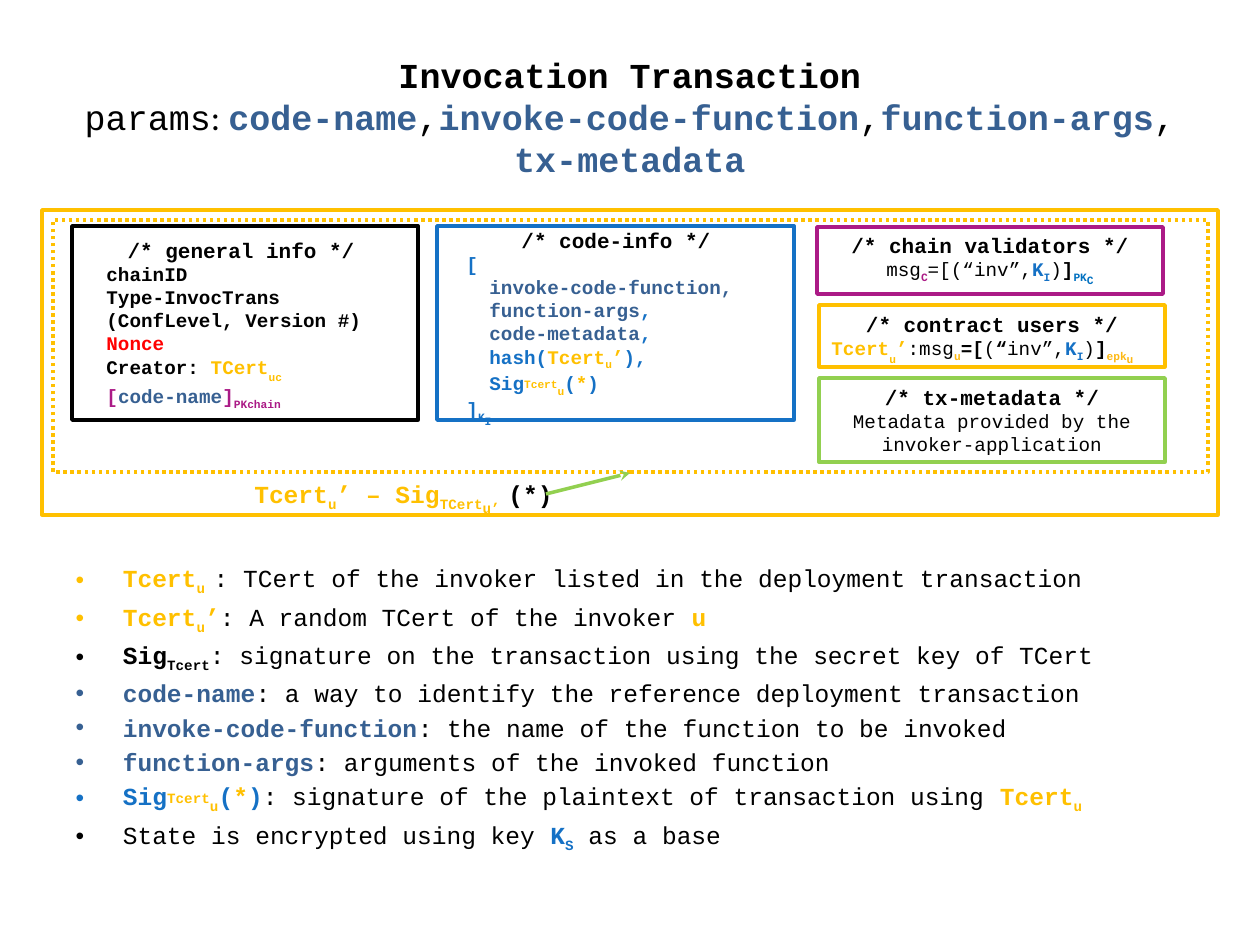
import dataclasses
import pptx
import pptx.dml.color
import pptx.enum.dml
import pptx.enum.shapes
import pptx.enum.text
import pptx.oxml.ns
import pptx.util
import lxml.etree

SCALE = 914400 / 126
MID = pptx.enum.text.PP_ALIGN.CENTER
LEFT = pptx.enum.text.PP_ALIGN.LEFT
GROW = pptx.enum.text.MSO_AUTO_SIZE.SHAPE_TO_FIT_TEXT
FIXED = pptx.enum.text.MSO_AUTO_SIZE.NONE
TOP = pptx.enum.text.MSO_ANCHOR.TOP
CENTRE = pptx.enum.text.MSO_ANCHOR.MIDDLE


@dataclasses.dataclass(frozen=True)
class Theme:
    ink: str = "000000"
    plain: str = "000000"
    gold: str = "FFC000"
    amber: str = "FDB813"
    navy: str = "376092"
    blue: str = "1571C5"
    sky: str = "0070C0"
    plum: str = "AB1A86"
    green: str = "92D050"
    red: str = "FF0000"
    title: int = 20
    body: int = 14
    head: int = 12
    code: int = 11
    font: str = "Courier New"
    soft: str = "Calibri"
    line: int = 2


THEME = Theme()


def px(num):
    return round(num * SCALE)


def tone(name):
    return pptx.dml.color.RGBColor.from_string(getattr(THEME, name))


def put(item, vals):
    for key, val in vals.items():
        setattr(item, key, val)


def place(shape, rect):
    put(shape, dict(zip(("left", "top", "width", "height"), map(px, rect))))


def add_run(para, size, text, hue, base=0, font=THEME.font):
    run = para.add_run()
    run.text = text
    put(run.font, {"name": font, "size": pptx.util.Pt(size), "bold": hue != "plain"})
    run.font.color.rgb = tone(hue)
    if base:
        run._r.get_or_add_rPr().set("baseline", str(base * 1000))


def row(*runs, size=THEME.code, align=LEFT, inset=0):
    return {"runs": runs, "size": size, "align": align, "inset": inset}


def head(text):
    return row((text, "ink"), size=THEME.head, align=MID)


def write(shape, rows, fit=GROW, anchor=TOP):
    frame = shape.text_frame
    put(frame, {"word_wrap": True, "auto_size": fit, "vertical_anchor": anchor})
    for num, item in enumerate(rows):
        para = frame.add_paragraph() if num else frame.paragraphs[0]
        para.alignment = item["align"]
        if item["inset"]:
            para._p.get_or_add_pPr().set("marL", str(px(item["inset"])))
        for run in item["runs"]:
            if run == "break":
                para.add_line_break()
            else:
                add_run(para, item["size"], *run)


def add_box(slide, rect, hue, rows=(), dash=None):
    box = slide.shapes.add_shape(
        pptx.enum.shapes.MSO_SHAPE.RECTANGLE, *map(px, rect))
    box.shadow.inherit = False
    box.fill.background()
    box.line.color.rgb = tone(hue)
    put(box.line, {"width": pptx.util.Pt(THEME.line), "dash_style": dash})
    if rows:
        write(box, rows)


def add_text(slide, rect, rows):
    write(slide.shapes.add_textbox(*map(px, rect)), rows)


def add_arrow(slide, ends, hue):
    arrow = slide.shapes.add_connector(
        pptx.enum.shapes.MSO_CONNECTOR.STRAIGHT, *map(px, ends))
    arrow.line.color.rgb = tone(hue)
    arrow.line.width = pptx.util.Pt(THEME.line)
    mark = pptx.oxml.ns.qn
    tip = lxml.etree.SubElement(arrow.line._get_or_add_ln(), mark("a:tailEnd"))
    tip.set("type", "stealth")
    lxml.etree.SubElement(arrow._element.spPr, mark("a:effectLst"))


def add_title(slide):
    title = slide.shapes.title
    place(title, (63, 38, 1134, 157))
    write(title, [row(
        ("Invocation Transaction", "ink"), "break",
        ("params", "plain"), (": ", "plain", 0, THEME.soft),
        ("code-name", "navy"), (",", "plain"),
        ("invoke-code-function", "navy"), (",", "plain"),
        ("function-args", "navy"), (", ", "plain"), ("tx-metadata", "navy"),
        size=THEME.title, align=MID)], FIXED, CENTRE)


def add_list(slide):
    body = slide.placeholders[1]
    place(body, (63, 557, 1144, 336))
    lines = [
        [("Tcert", "gold"), ("u ", "gold", -25),
         (": TCert of the invoker listed in the deployment transaction", "plain")],
        [("Tcert", "gold"), ("u", "gold", -25), ("’", "gold"),
         (": A random TCert of the invoker ", "plain"), ("u", "gold")],
        [("Sig", "ink"), ("Tcert", "ink", -25),
         (": signature on the transaction using the secret key of TCert", "plain")],
        [("code-name", "navy"),
         (": a way to identify the reference deployment transaction", "plain")],
        [("invoke-code-function", "navy"),
         (": the name of the function to be invoked", "plain")],
        [("function-args", "navy"),
         (": arguments of the invoked function", "plain")],
        [*SIGN, (": signature of the plaintext of transaction using ", "plain"),
         ("Tcert", "gold"), ("u", "gold", -25)],
        [("State is encrypted using key ", "plain"), ("K", "blue"),
         ("S", "blue", -25), (" as a base", "plain")],
    ]
    write(body, [row(*line, size=THEME.body) for line in lines], FIXED)


SIGN = (("Sig", "blue"), ("Tcert", "gold", 10), ("u", "gold", -25),
        ("(", "blue"), ("*", "gold"), (")", "blue"))
KEY = (("K", "blue"), ("I", "blue", -25), (")", "plain"), ("]", "ink"))


def add_code(slide):
    add_box(slide, (437, 226, 357, 194), "blue")
    step = 23
    add_text(slide, (454, 221, 324, 202), [
        head("/* code-info */"),
        row(("[", "blue")),
        row(("invoke-code-function,", "navy"), inset=step),
        row(("function-args", "navy"), (",", "blue"), inset=step),
        row(("code-metadata", "navy"), (",", "blue"), inset=step),
        row(("hash(", "blue"), ("Tcert", "gold"), ("u", "gold", -25),
            ("’", "gold"), ("),", "blue"), inset=step),
        row(*SIGN, inset=step),
        row(("]", "blue"), ("K", "blue", -25), ("I", "blue", -45))])


def add_info(slide):
    add_text(slide, (94, 231, 294, 202), [
        head("/* general info */"),
        row(("chainID", "ink")),
        row(("Type-InvocTrans", "ink")),
        row(("(ConfLevel, Version #)", "ink")),
        row(("Nonce", "red")),
        row(("Creator: ", "ink"), ("TCert", "gold"), ("uc", "gold", -40)),
        row(("[", "plum"), ("code-name", "navy"), ("]", "plum"),
            ("PKchain", "plum", -25))])
    add_box(slide, (72, 226, 346, 194), "ink")


def add_parts(slide):
    add_box(slide, (817, 227, 346, 67), "plum")
    add_text(slide, (806, 226, 368, 84), [
        head("/* chain validators */"),
        row(("msg", "plain"), ("C", "plum", -25), ("=[(“inv”,", "plain"), *KEY,
            ("PK", "sky", -25), ("C", "sky", -40), align=MID)])
    add_box(slide, (819, 305, 346, 62), "gold", [
        head("/* contract users */"),
        row(("Tcert", "gold"), ("u", "gold", -40), ("’", "gold"),
            (":msg", "plain"), ("u", "amber", -25), ("=[", "ink"),
            ("(", "plain"), ("“", "ink"), ("inv”,", "plain"), *KEY,
            ("epk", "amber", -25), ("u", "amber", -40))])
    add_box(slide, (819, 378, 346, 84), "green", [
        head("/* tx-metadata */"),
        row(("Metadata provided by the invoker-application", "plain"), align=MID)])


def add_frame(slide):
    add_box(slide, (42, 210, 1176, 305), "gold")
    add_text(slide, (242, 473, 378, 43), [row(
        ("Tcert", "gold"), ("u", "gold", -25), ("’ – Sig", "gold"),
        ("TCert", "gold", -25), ("u’ ", "gold", -40), ("(*)", "ink"),
        size=THEME.body)])
    add_arrow(slide, (546, 494, 630, 473), "green")


def main():
    deck = pptx.Presentation()
    put(deck, {"slide_width": px(1260), "slide_height": px(945)})
    slide = deck.slides.add_slide(deck.slide_layouts[1])
    add_title(slide)
    add_list(slide)
    add_box(slide, (53, 220, 1155, 252), "gold",
            dash=pptx.enum.dml.MSO_LINE.ROUND_DOT)
    add_code(slide)
    add_info(slide)
    add_parts(slide)
    add_frame(slide)
    deck.save("out.pptx")


if __name__ == "__main__":
    main()
